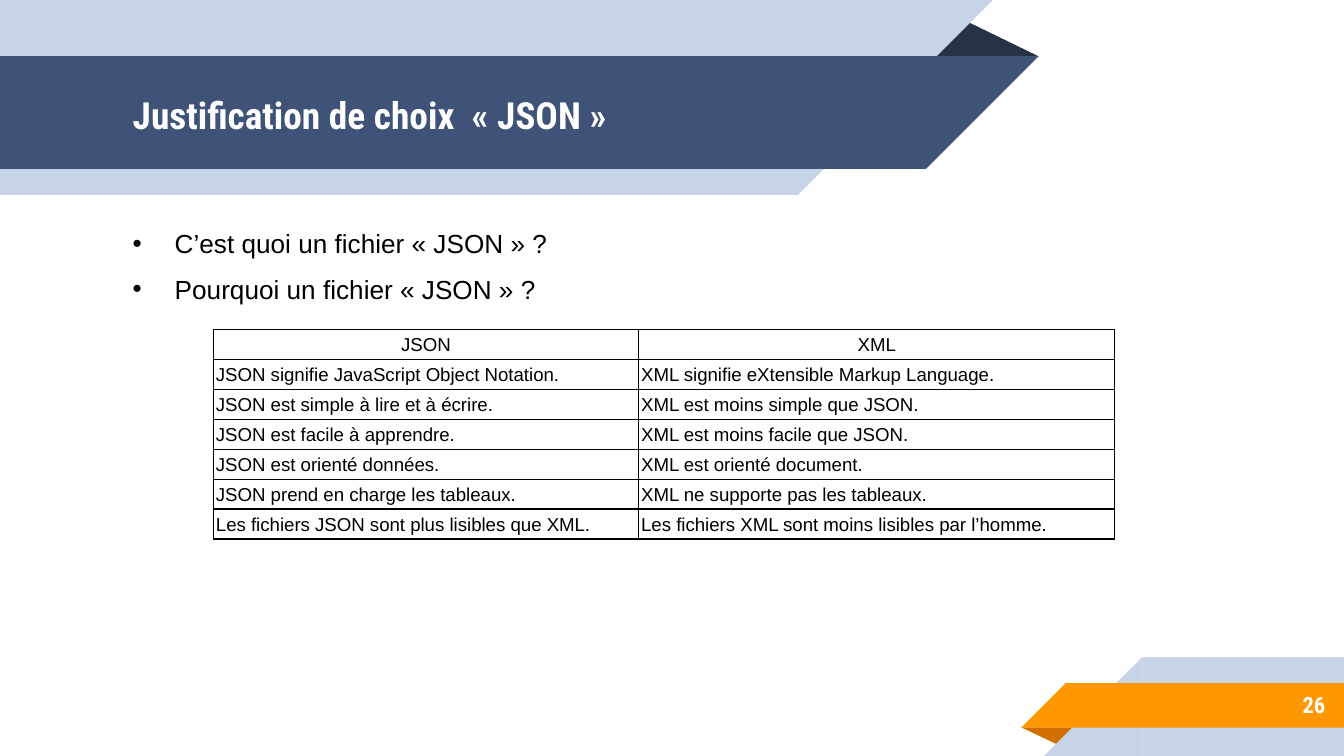
"""Build the slide that justifies choosing JSON over XML."""
from lxml import etree
from pptx import Presentation
from pptx.dml.color import RGBColor
from pptx.enum import shapes, text
from pptx.oxml import ns
from pptx.util import Pt

COLORS = {"pale": "C7D3E6", "navy": "3F5378", "night": "263248", "orange": "FF9800",
          "rust": "D26F00", "white": "FFFFFF", "black": "000000"}
KINDS = shapes.MSO_SHAPE
BANDS = [
    (KINDS.ISOSCELES_TRIANGLE, 495.5, 10, 61, 20.2, "night", 0, False),
    (KINDS.RECTANGLE, 0, 0, 427.5, 104.4, "pale", 180, True),
    (KINDS.RIGHT_TRIANGLE, 427.5, 0, 104.4, 104.4, "pale", 180, True),
    (KINDS.RECTANGLE, 0, 30, 496, 60.5, "navy", 180, True),
    (KINDS.RIGHT_TRIANGLE, 496, 30, 60.5, 60.5, "navy", 180, True),
    (KINDS.ISOSCELES_TRIANGLE, 547.2, 389.7, 31, 10, "rust", 180, False),
    (KINDS.RECTANGLE, 612, 352, 108, 53, "pale", 0, True),
    (KINDS.RIGHT_TRIANGLE, 559.4, 352, 52.6, 53, "pale", 0, True),
    (KINDS.RECTANGLE, 571, 366, 149, 23.8, "orange", 0, True),
    (KINDS.RIGHT_TRIANGLE, 547.2, 366, 23.8, 23.8, "orange", 0, True),
]
COMPARISON = [
    ("JSON", "XML"),
    ("JSON signifie JavaScript Object Notation.", "XML signifie eXtensible Markup Language."),
    ("JSON est simple à lire et à écrire.", "XML est moins simple que JSON."),
    ("JSON est facile à apprendre.", "XML est moins facile que JSON."),
    ("JSON est orienté données.", "XML est orienté document."),
    ("JSON prend en charge les tableaux.", "XML ne supporte pas les tableaux."),
    ("Les fichiers JSON sont plus lisibles que XML.",
     "Les fichiers XML sont moins lisibles par l’homme."),
]


def style(paragraph, face, size, color, bold=False):
    paragraph.font.name = face
    paragraph.font.size = Pt(size)
    paragraph.font.bold = bold
    paragraph.font.color.rgb = RGBColor.from_string(COLORS[color])


def add_text(words, left, top, width, height):
    box = slide.shapes.add_textbox(Pt(left), Pt(top), Pt(width), Pt(height))
    box.text_frame.word_wrap = True
    box.text_frame.text = words
    return box.text_frame


deck = Presentation()
deck.slide_width, deck.slide_height = Pt(720), Pt(405)
slide = deck.slides.add_slide(deck.slide_layouts[6])

for kind, left, top, width, height, color, turn, flipped in BANDS:
    band = slide.shapes.add_shape(kind, Pt(left), Pt(top), Pt(width), Pt(height))
    band.shadow.inherit = False
    band.fill.solid()
    band.fill.fore_color.rgb = RGBColor.from_string(COLORS[color])
    band.line.fill.background()
    band.rotation = turn
    if flipped:
        band._element.spPr.xfrm.set("flipH", "1")
    if kind == KINDS.ISOSCELES_TRIANGLE:
        band.adjustments[0] = 0.32

title = add_text("Justification de choix  « JSON »", 64, 31, 414, 60.5)
page_number = add_text("26", 600, 365, 117, 25)
for frame, size in ((title, 20), (page_number, 12)):
    frame.vertical_anchor = text.MSO_ANCHOR.MIDDLE
    frame.margin_top = frame.margin_bottom = Pt(7.2)
    style(frame.paragraphs[0], "Roboto Condensed", size, "white", True)
page_number.paragraphs[0].alignment = text.PP_ALIGN.RIGHT

questions = ["C’est quoi un fichier « JSON » ?", "Pourquoi un fichier « JSON » ?"]
for index, words in enumerate(questions):
    question = add_text(words, 64, 118.5 + 24.3 * index, 320, 24.3).paragraphs[0]
    properties = question._p.get_or_add_pPr()
    properties.set("marL", str(Pt(22.5)))
    properties.set("indent", str(Pt(-22.5)))
    etree.SubElement(properties, ns.qn("a:buFont"), typeface="Arial")
    etree.SubElement(properties, ns.qn("a:buChar"), char="•")
    style(question, "Arial", 14, "black")

comparison = slide.shapes.add_table(
    len(COMPARISON), 2, Pt(114.3), Pt(176.6), Pt(483), Pt(15.8 * len(COMPARISON))).table
comparison.first_row = comparison.horz_banding = False
for column, width in zip(comparison.columns, (227.8, 255.2)):
    column.width = Pt(width)
for row_index, pair in enumerate(COMPARISON):
    comparison.rows[row_index].height = Pt(15.8)
    for column_index, words in enumerate(pair):
        cell = comparison.cell(row_index, column_index)
        cell.text = words
        cell.fill.background()
        cell.vertical_anchor = text.MSO_ANCHOR.BOTTOM
        cell.margin_left = cell.margin_right = Pt(1.4)
        cell.margin_top = cell.margin_bottom = Pt(2)
        statement = cell.text_frame.paragraphs[0]
        style(statement, "Arial", 10, "black")
        if row_index == 0:
            statement.alignment = text.PP_ALIGN.CENTER
        for position, side in enumerate(("lnL", "lnR", "lnT", "lnB")):
            border = etree.Element(ns.qn(f"a:{side}"), w=str(Pt(0.75)))
            paint = etree.SubElement(border, ns.qn("a:solidFill"))
            etree.SubElement(paint, ns.qn("a:srgbClr"), val=COLORS["black"])
            cell._tc.get_or_add_tcPr().insert(position, border)

deck.save("out.pptx")
